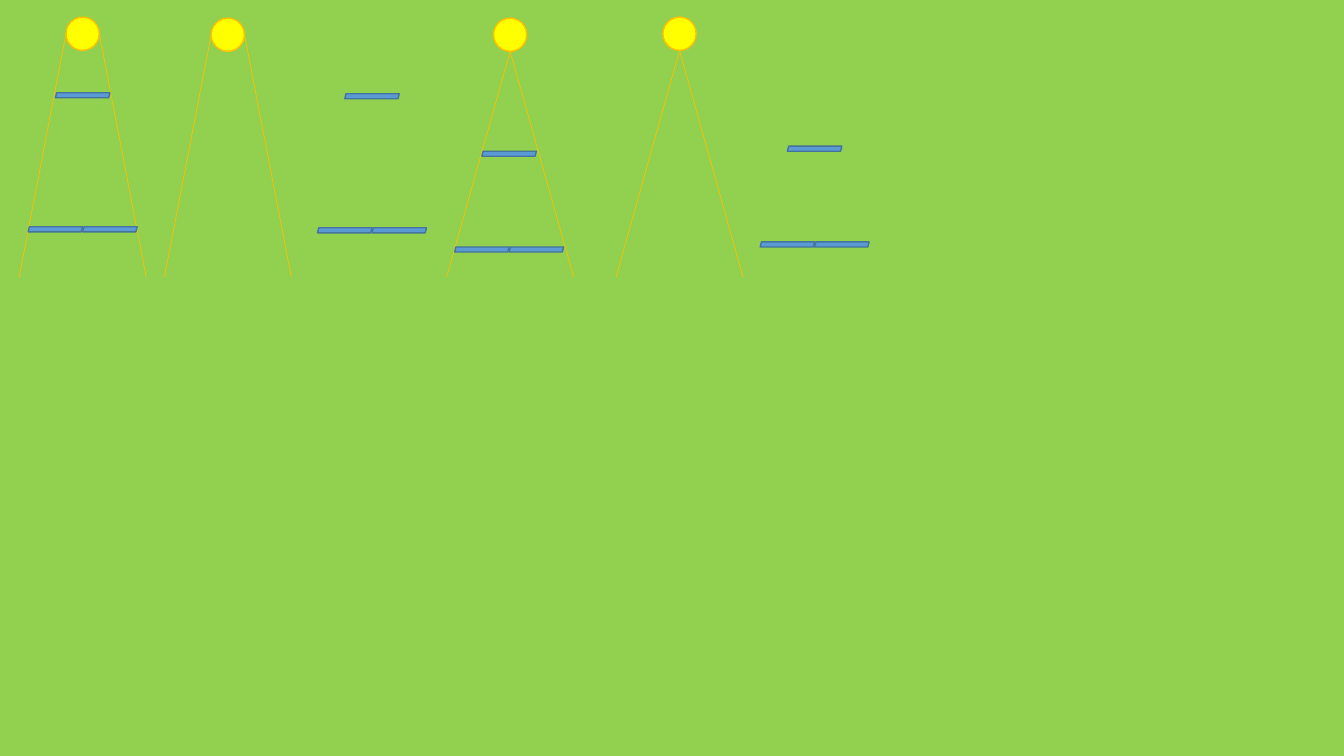
import dataclasses

import lxml.etree
import pptx
import pptx.dml.color
import pptx.enum.shapes
import pptx.oxml.ns
import pptx.shapes.group
import pptx.slide
import pptx.util

Inches = pptx.util.Inches
MSO_SHAPE = pptx.enum.shapes.MSO_SHAPE

MEADOW = "92D050"
SUN_FILL, SUN_EDGE = "FFFF00", "FFC000"
PANEL_FILL, PANEL_EDGE = "5B9BD5", "43739E"

SUN_SIZE = 0.33
RAY_BOTTOM = 2.75
RAY_REACH = 0.63
PANEL_WIDTH, PANEL_HEIGHT = 0.54, 0.05
PANEL_STEP = 0.27


@dataclasses.dataclass(frozen=True)
class Sun:
    center: float
    top: float
    rays_from_sides: bool


@dataclasses.dataclass(frozen=True)
class PanelSet:
    left: float
    upper_top: float
    lower_top: float


SUNS = [
    Sun(0.82, 0.17, True),
    Sun(2.26, 0.18, True),
    Sun(5.06, 0.18, False),
    Sun(6.74, 0.17, False),
]
PANEL_SETS = [
    PanelSet(0.28, 0.92, 2.25),
    PanelSet(3.15, 0.93, 2.26),
    PanelSet(4.51, 1.5, 2.45),
    PanelSet(7.54, 1.45, 2.4),
]


def rgb(color: str) -> pptx.dml.color.RGBColor:
    return pptx.dml.color.RGBColor.from_string(color)


def add_figure(group: pptx.shapes.group.GroupShape, preset: MSO_SHAPE, left: float,
               top: float, width: float, height: float, fill: str, edge: str) -> None:
    figure = group.shapes.add_shape(
        preset, Inches(left), Inches(top), Inches(width), Inches(height))
    figure.shadow.inherit = False
    figure.fill.solid()
    figure.fill.fore_color.rgb = rgb(fill)
    figure.line.color.rgb = rgb(edge)
    figure.line.width = pptx.util.Pt(1)


def add_ray(group: pptx.shapes.group.GroupShape, start_x: float, start_y: float,
            end_x: float) -> None:
    ray = group.shapes.add_connector(
        pptx.enum.shapes.MSO_CONNECTOR.STRAIGHT,
        Inches(start_x), Inches(start_y), Inches(end_x), Inches(RAY_BOTTOM))
    ray.line.color.rgb = rgb(SUN_EDGE)
    ray.line.width = pptx.util.Pt(0.5)
    lxml.etree.SubElement(ray._element.spPr, pptx.oxml.ns.qn("a:effectLst"))


def draw_sun(slide: pptx.slide.Slide, sun: Sun) -> None:
    group = slide.shapes.add_group_shape()
    radius = SUN_SIZE / 2
    add_figure(group, MSO_SHAPE.OVAL, sun.center - radius, sun.top,
               SUN_SIZE, SUN_SIZE, SUN_FILL, SUN_EDGE)
    # Rays leave the sides of the disc or its lowest point
    offset, drop = (radius, radius) if sun.rays_from_sides else (0, SUN_SIZE)
    for side in (-1, 1):
        add_ray(group, sun.center + side * offset, sun.top + drop,
                sun.center + side * RAY_REACH)


def draw_panels(slide: pptx.slide.Slide, panels: PanelSet) -> None:
    group = slide.shapes.add_group_shape()
    # One panel centred above a pair
    for steps, top in ((1, panels.upper_top), (0, panels.lower_top), (2, panels.lower_top)):
        add_figure(group, MSO_SHAPE.PARALLELOGRAM, panels.left + steps * PANEL_STEP, top,
                   PANEL_WIDTH, PANEL_HEIGHT, PANEL_FILL, PANEL_EDGE)


def main() -> None:
    presentation = pptx.Presentation()
    presentation.slide_width = Inches(13.33)
    presentation.slide_height = Inches(7.5)
    slide = presentation.slides.add_slide(presentation.slide_layouts[6])

    # Background
    slide.background.fill.solid()
    slide.background.fill.fore_color.rgb = rgb(MEADOW)

    # Suns with their rays, and the panels they light
    for sun, panels in zip(SUNS, PANEL_SETS):
        draw_sun(slide, sun)
        draw_panels(slide, panels)

    presentation.save("out.pptx")


if __name__ == "__main__":
    main()
